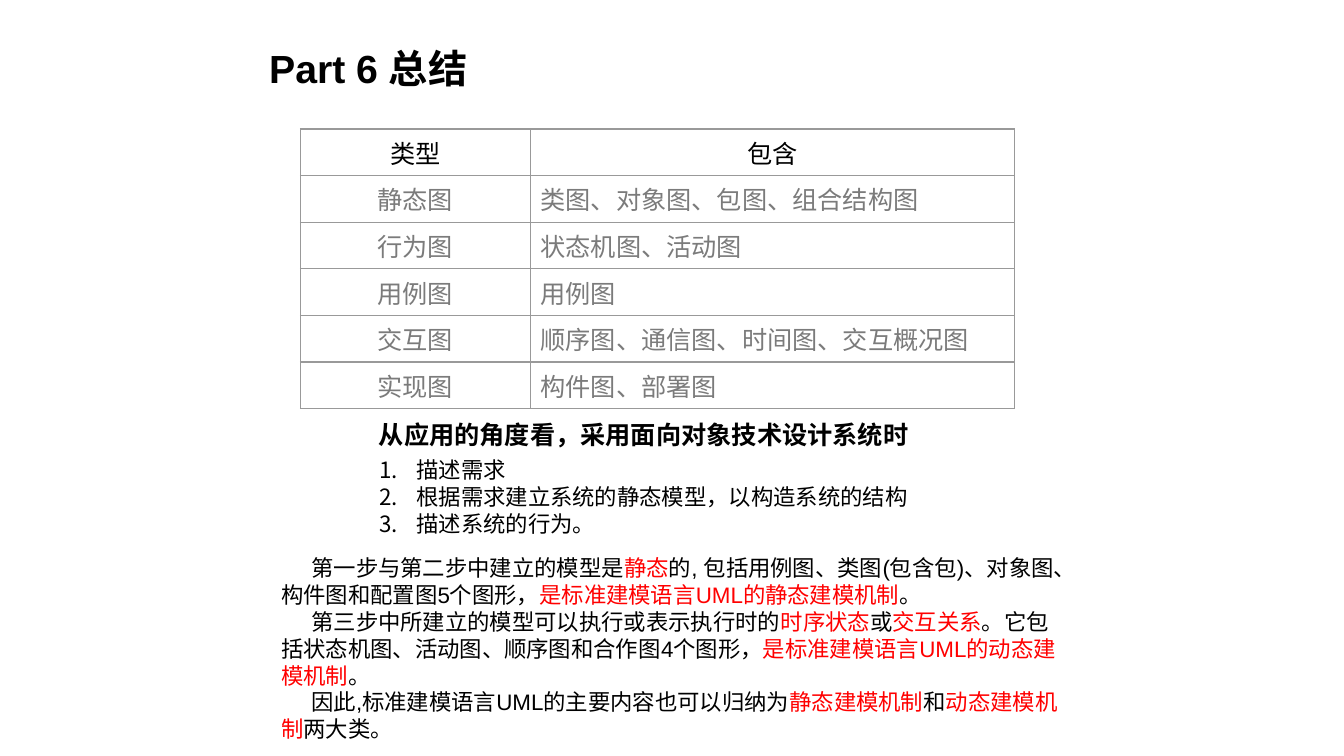
from lxml.etree import SubElement
from pptx import Presentation
from pptx.dml.color import RGBColor
from pptx.enum.text import MSO_ANCHOR, MSO_AUTO_SIZE, PP_ALIGN
from pptx.oxml.ns import qn
from pptx.util import Inches, Pt

BLACK = RGBColor(0x00, 0x00, 0x00)
WHITE = RGBColor(0xFF, 0xFF, 0xFF)
RED = RGBColor(0xFF, 0x00, 0x00)
GRAY = RGBColor(0x7B, 0x7B, 0x7B)
BORDER = RGBColor(0x99, 0x99, 0x99)
FONT = "Arial"
LINE = Pt(19.2)

DIAGRAMS = [
    ("类型", "包含"),
    ("静态图", "类图、对象图、包图、组合结构图"),
    ("行为图", "状态机图、活动图"),
    ("用例图", "用例图"),
    ("交互图", "顺序图、通信图、时间图、交互概况图"),
    ("实现图", "构件图、部署图"),
]
STEPS = ["描述需求", "根据需求建立系统的静态模型，以构造系统的结构", "描述系统的行为。"]
SUMMARY = [
    [("第一步与第二步中建立的模型是", BLACK), ("静态", RED),
     ("的, 包括用例图、类图(包含包)、对象图、构件图和配置图5个图形，", BLACK),
     ("是标准建模语言UML的静态建模机制", RED), ("。", BLACK)],
    [("第三步中所建立的模型可以执行或表示执行时的", BLACK), ("时序状态", RED),
     ("或", BLACK), ("交互关系", RED),
     ("。它包括状态机图、活动图、顺序图和合作图4个图形，", BLACK),
     ("是标准建模语言UML的动态建模机制", RED), ("。", BLACK)],
    [("因此,标准建模语言UML的主要内容也可以归纳为", BLACK), ("静态建模机制", RED),
     ("和", BLACK), ("动态建模机制", RED), ("两大类。", BLACK)],
]


def place(sp, box):
    sp.left, sp.top, sp.width, sp.height = [Inches(v) for v in box]


def style(p, size, color=BLACK, bold=False):
    for r in p.runs:
        r.font.name = FONT
        r.font.size = Pt(size)
        r.font.bold = bold
        r.font.color.rgb = color


def set_indent(p, margin, indent):
    pPr = p._p.get_or_add_pPr()
    pPr.set("marL", str(Inches(margin)))
    pPr.set("indent", str(Inches(indent)))
    return pPr


def add_textbox(s, box):
    tf = s.shapes.add_textbox(*[Inches(v) for v in box]).text_frame
    tf.word_wrap = True
    return tf


def add_title(s, box):
    sp = s.shapes.title
    place(sp, box)
    tf = sp.text_frame
    tf.text = "Part 6 总结"
    tf.word_wrap = False
    tf.auto_size = MSO_AUTO_SIZE.NONE
    tf.vertical_anchor = MSO_ANCHOR.MIDDLE
    p = tf.paragraphs[0]
    p.alignment = PP_ALIGN.LEFT
    style(p, 28, bold=True)


def add_borders(cell):
    tcPr = cell._tc.get_or_add_tcPr()
    for i, side in enumerate(("a:lnL", "a:lnR", "a:lnT", "a:lnB")):
        ln = SubElement(tcPr, qn(side), w=str(Pt(1)))
        fill = SubElement(ln, qn("a:solidFill"))
        SubElement(fill, qn("a:srgbClr"), val=str(BORDER))
        tcPr.remove(ln)
        tcPr.insert(i, ln)


def add_diagram_table(s, box):
    table = s.shapes.add_table(len(DIAGRAMS), 2, *[Inches(v) for v in box]).table
    table.horz_banding = False
    table.columns[0].width = Inches(2.28)
    table.columns[1].width = Inches(box[2] - 2.28)
    for i, row in enumerate(DIAGRAMS):
        table.rows[i].height = Inches(box[3] / len(DIAGRAMS))
        for j, text in enumerate(row):
            cell = table.cell(i, j)
            cell.text = text
            cell.vertical_anchor = MSO_ANCHOR.MIDDLE
            cell.fill.solid()
            cell.fill.fore_color.rgb = WHITE
            add_borders(cell)
            p = cell.text_frame.paragraphs[0]
            p.alignment = PP_ALIGN.CENTER if i == 0 or j == 0 else PP_ALIGN.LEFT
            style(p, 18, GRAY if i else BLACK)


def add_heading(s, box):
    tf = add_textbox(s, box)
    tf.text = "从应用的角度看，采用面向对象技术设计系统时"
    p = tf.paragraphs[0]
    p.alignment = PP_ALIGN.JUSTIFY
    p.line_spacing = 1.2
    style(p, 18, bold=True)


def add_steps(s, box):
    sp = s.placeholders[1]
    place(sp, box)
    tf = sp.text_frame
    tf.text = "\n".join(STEPS)
    tf.auto_size = MSO_AUTO_SIZE.NONE
    tf.vertical_anchor = MSO_ANCHOR.TOP
    for p in tf.paragraphs:
        p.line_spacing = LINE
        p.space_before = Pt(0)
        style(p, 16)
        pPr = set_indent(p, 0.37, -0.37)
        SubElement(pPr, qn("a:buFont"), typeface=FONT)
        SubElement(pPr, qn("a:buAutoNum"), type="arabicPeriod")


def add_summary(s, box):
    tf = add_textbox(s, box)
    for i, parts in enumerate(SUMMARY):
        p = tf.add_paragraph() if i else tf.paragraphs[0]
        p.line_spacing = LINE
        set_indent(p, 0, 0.3)
        for text, color in parts:
            r = p.add_run()
            r.text = text
            r.font.name = FONT
            r.font.size = Pt(16)
            r.font.color.rgb = color


def main():
    prs = Presentation()
    prs.slide_width = Inches(13.33)
    prs.slide_height = Inches(7.5)
    s = prs.slides.add_slide(prs.slide_layouts[1])
    add_title(s, (2.57, 0.39, 3.28, 0.57))
    add_steps(s, (3.66, 4.48, 5.51, 0.95))
    add_diagram_table(s, (2.98, 1.28, 7.08, 2.77))
    add_heading(s, (3.66, 4.05, 5.85, 0.43))
    add_summary(s, (2.69, 5.45, 7.96, 2))
    prs.save("out.pptx")


if __name__ == "__main__":
    main()
